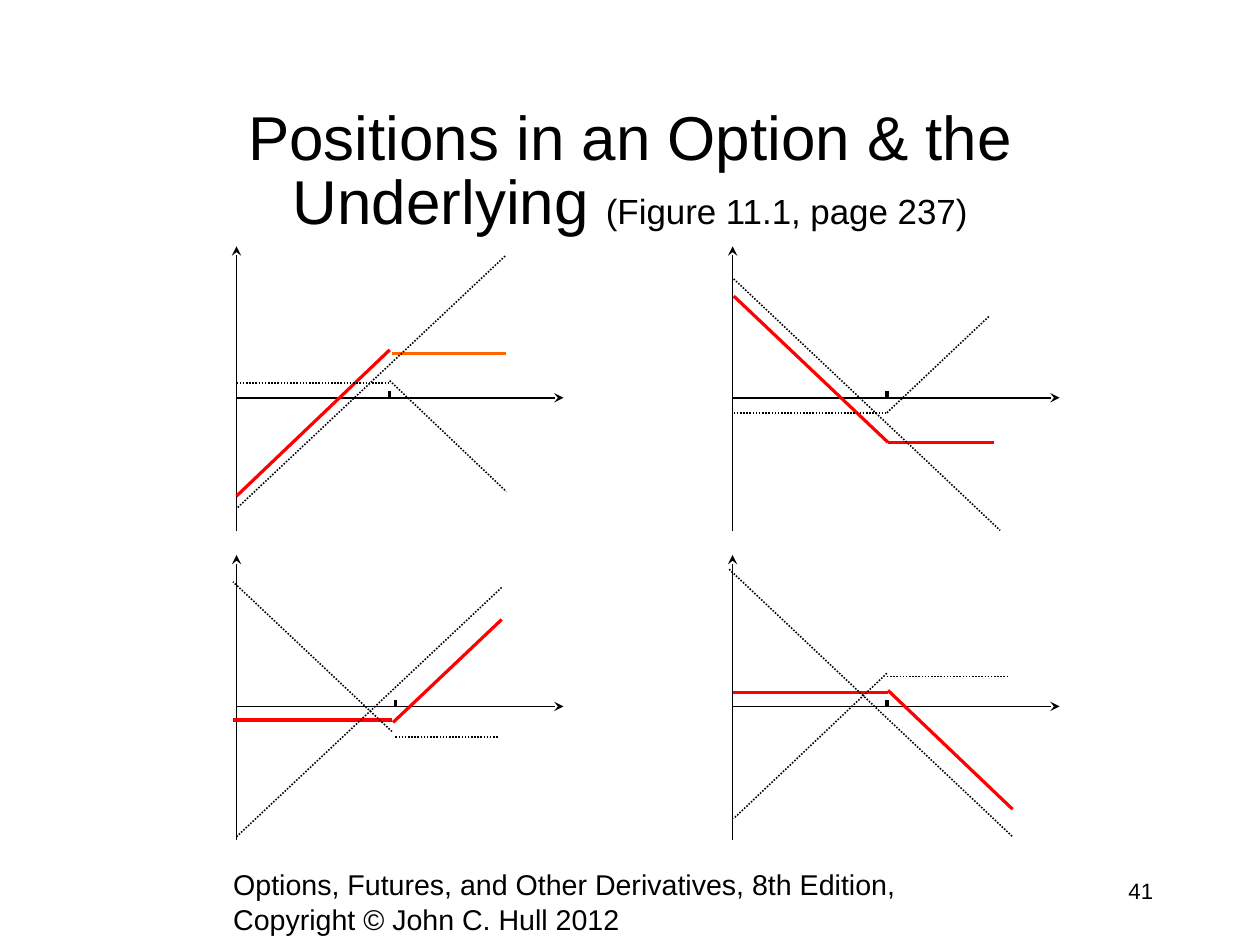
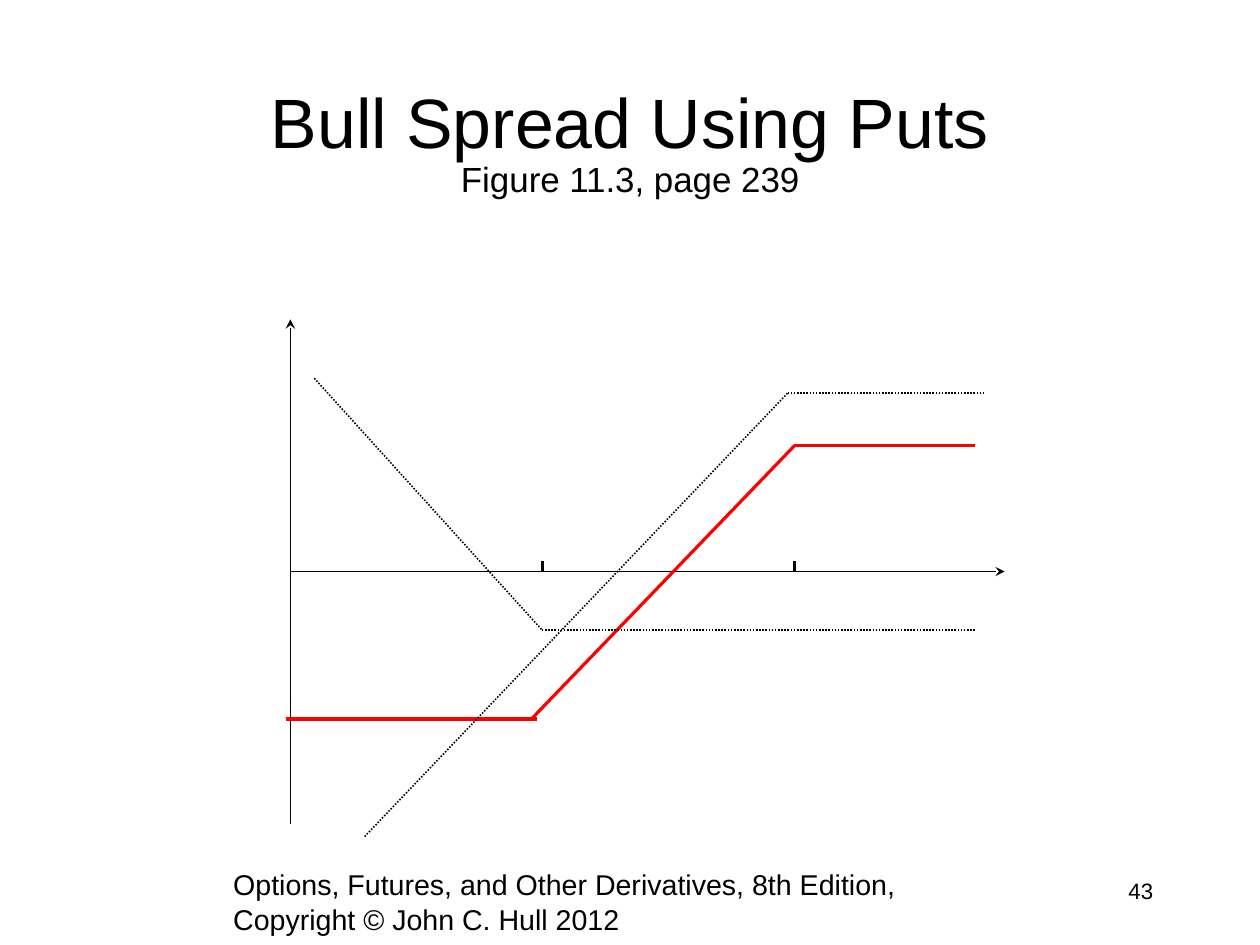
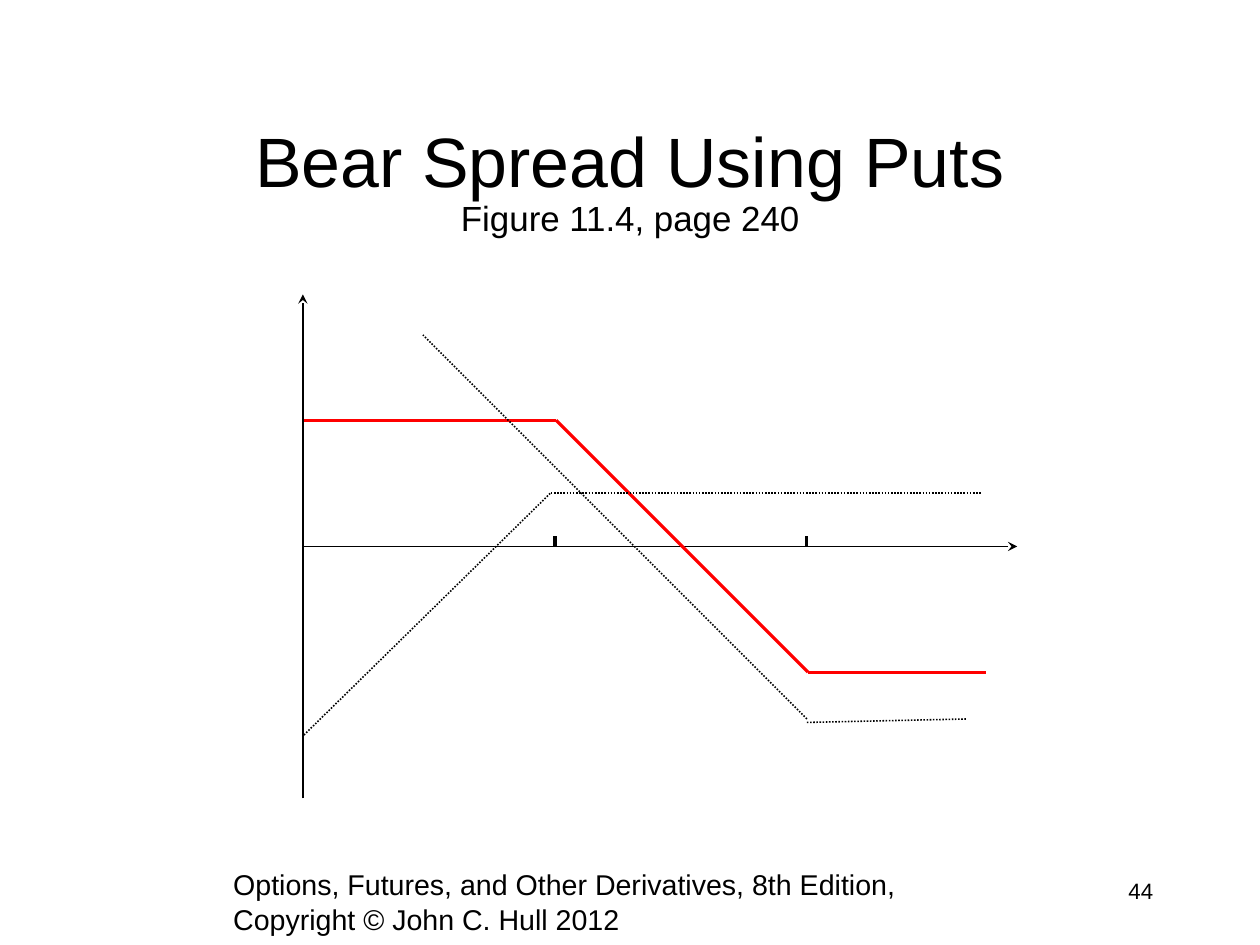
from itertools import pairwise

from lxml.etree import SubElement
from pptx import Presentation
from pptx.dml.color import RGBColor
from pptx.enum.dml import MSO_LINE_DASH_STYLE as Dash
from pptx.enum.shapes import MSO_CONNECTOR as Connector
from pptx.enum.text import MSO_ANCHOR as Anchor, MSO_AUTO_SIZE as AutoSize, PP_ALIGN as Align
from pptx.oxml.ns import qn
from pptx.util import Pt

COLORS = {"ink": "000000", "paper": "FFFFFF", "profit": "FF0000", "capped": "FF6600"}
FONT = "Arial"
FOOTER = ("Options, Futures, and Other Derivatives, 8th Edition, "
          "Copyright © John C. Hull 2012")
TITLE_ONLY = 5
TITLE_LEFT, TITLE_WIDTH = 59.5, 675


class PayoffDeck:
    """Hold the shared style and draw on the current slide."""

    def __init__(self):
        """Start a deck with the slide size and a plain background."""
        self.deck = Presentation()
        self.deck.slide_width, self.deck.slide_height = Pt(793.7), Pt(595.28)
        fill = self.deck.slide_master.background.fill
        fill.solid()
        fill.fore_color.rgb = self.color("paper")
        self.page = None

    @staticmethod
    def color(name):
        """Return a named colour."""
        return RGBColor.from_string(COLORS[name])

    def style(self, span, size):
        """Set font, size and colour of a run."""
        span.font.name = FONT
        span.font.size = Pt(size)
        span.font.color.rgb = self.color("ink")

    @staticmethod
    def frame(box):
        """Give a box its wrapping and margins and return its text frame."""
        frame = box.text_frame
        frame.word_wrap = True
        frame.auto_size = AutoSize.NONE
        frame.margin_left = frame.margin_right = Pt(7.9)
        frame.margin_top = frame.margin_bottom = Pt(4.1)
        return frame

    def text(self, left, top, width, height, words, size, align=Align.LEFT):
        """Add a one-paragraph text box."""
        box = self.page.shapes.add_textbox(Pt(left), Pt(top), Pt(width), Pt(height))
        para = self.frame(box).paragraphs[0]
        para.text = words
        para.alignment = align
        self.style(para.runs[0], size)

    def title(self, top, height, words, size, note):
        """Fill the title placeholder with a heading and a smaller note."""
        box = self.page.shapes.title
        box.left, box.top = Pt(TITLE_LEFT), Pt(top)
        box.width, box.height = Pt(TITLE_WIDTH), Pt(height)
        frame = self.frame(box)
        frame.vertical_anchor = Anchor.MIDDLE
        para = frame.paragraphs[0]
        para.text = words
        para.alignment = Align.CENTER
        para.line_spacing = 0.87
        self.style(para.runs[0], size)
        span = para.add_run()
        span.text = note
        self.style(span, 22)

    def add_page(self, number, top, height, words, size, note):
        """Start a slide with its title, footer and page number."""
        layout = self.deck.slide_layouts[TITLE_ONLY]
        self.page = self.deck.slides.add_slide(layout)
        self.title(top, height, words, size, note)
        self.text(139, 542.2, 436.3, 39.6, FOOTER, 18)
        self.text(568.8, 548.6, 165.6, 39.6, str(number), 14, Align.RIGHT)

    def line(self, start, end, color="ink", width=1, dash=None, arrow=False):
        """Draw a straight line, dashed or with an arrow at its end."""
        points = [Pt(value) for value in (*start, *end)]
        link = self.page.shapes.add_connector(Connector.STRAIGHT, *points)
        link.line.color.rgb = self.color(color)
        link.line.width = Pt(width)
        if dash:
            link.line.dash_style = dash
        properties = link.line._get_or_add_ln()
        if arrow:
            SubElement(properties, qn("a:tailEnd"), type="stealth")
        SubElement(properties.getparent(), qn("a:effectLst"))

    def diagram(self, origin, width, rise, drop, strikes, tick, legs, profit, capped=()):
        """Draw axes, strike ticks and payoffs, measured right and up from origin."""
        def place(point):
            """Turn a point of the diagram into a point of the slide."""
            return origin[0] + point[0], origin[1] - point[1]

        self.line(place((0, -drop)), place((0, rise)), arrow=True)
        self.line(origin, place((width, 0)), arrow=True)
        for strike in strikes:
            self.line(place((strike, 0)), place((strike, tick)), width=2)
        looks = ((profit, {"color": "profit", "width": 2}),
                 (capped, {"color": "capped", "width": 2}),
                 (legs, {"dash": Dash.ROUND_DOT}))
        for paths, look in looks:
            for corners in paths:
                for start, end in pairwise(corners):
                    self.line(place(start), place(end), **look)


def option_and_underlying(show):
    """Build the four positions in an option and the underlying."""
    show.add_page(41, 46.1, 126, "Positions in an Option & the Underlying ", 39,
                  "(Figure 11.1, page 237)")
    left, right, upper, lower = 149, 461.5, 250.6, 445
    size = {"width": 206, "rise": 95.4, "drop": 84.2, "tick": 4.2}
    show.diagram(
        (left, upper), strikes=[96.5], **size,
        profit=[[(0, -61.9), (96.5, 30.2)]],
        capped=[[(97.9, 28.1), (169.9, 28.1)]],
        legs=[[(0, 9.4), (96.5, 9.4)],
              [(96.5, 10.8), (169.9, -59)],
              [(169.2, 89.3), (0, -69.8)]])
    show.diagram(
        (right, upper), strikes=[97.2], **size,
        profit=[[(0.7, 64.1), (97.9, -28.1), (164.9, -28.1)]],
        legs=[[(0.7, -9.4), (97.2, -9.4), (162, 51.8)],
              [(0.7, 74.9), (168.5, -83.5)]])
    show.diagram(
        (left, lower), strikes=[100.1], **size,
        profit=[[(-2.2, -8.6), (97.9, -8.6)],
                [(98.6, -10.1), (167, 54.7)]],
        legs=[[(97.9, -15.8), (-2.2, 78.5)],
              [(100.1, -19.4), (164.9, -19.4)],
              [(0, -82.1), (167, 74.9)]])
    show.diagram(
        (right, lower), strikes=[97.2], **size,
        profit=[[(0, 8.6), (97.9, 8.6)],
                [(97.9, 10.1), (176.4, -64.8)]],
        legs=[[(-2.2, 86.4), (176.4, -82.1)],
              [(97.2, 18.7), (174.2, 18.7)],
              [(97.2, 20.9), (0.7, -70.6)]])


def put_spreads(show):
    """Build the bull spread and the bear spread."""
    size = {"width": 450, "rise": 158.8, "drop": 158.8,
            "strikes": [158.8, 317.5], "tick": 6.8}
    show.add_page(43, 27.4, 127.4, "Bull Spread Using Puts\v", 44, "Figure 11.3, page 239")
    show.diagram(
        (182.9, 360), **size,
        profit=[[(-2.9, -92.9), (155.5, -92.9)],
                [(151.9, -92.9), (317.5, 79.2), (431.3, 79.2)]],
        legs=[[(46.8, -167), (313.2, 112.3), (437.8, 112.3)],
              [(15.1, 121.7), (158.4, -36.7), (431.3, -36.7)]])
    show.add_page(44, 66.2, 99.4, "Bear Spread Using Puts\v", 44, "Figure 11.4, page 240")
    show.diagram(
        (190.8, 344.2), **size,
        profit=[[(0.7, 79.5), (159.5, 79.5), (318.2, -79.2), (430.6, -79.2)]],
        legs=[[(317.5, -108.7), (75.6, 133.2)],
              [(317.5, -110.9), (418.3, -108.7)],
              [(0.7, -118.8), (156.2, 33.8), (427.7, 33.8)]])


show = PayoffDeck()
option_and_underlying(show)
put_spreads(show)
show.deck.save("out.pptx")
